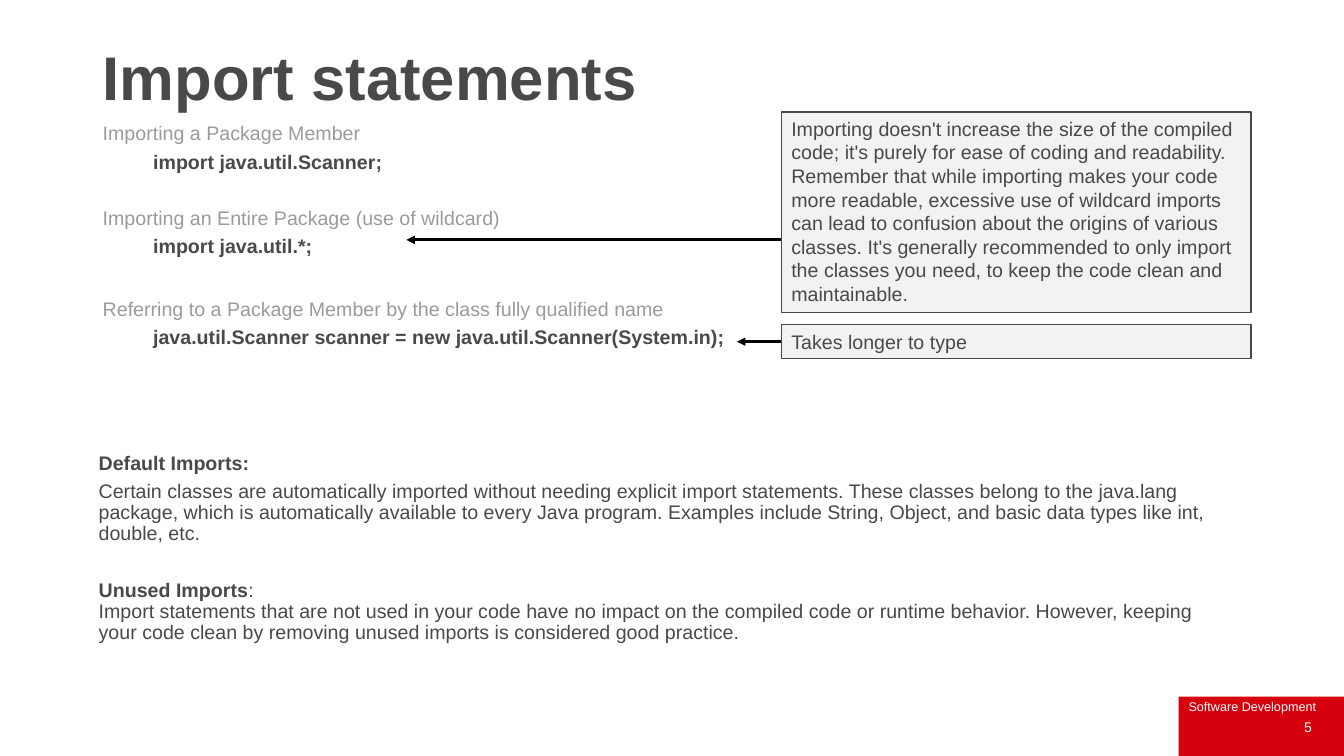
from dataclasses import dataclass

from pptx import Presentation, util as u
from pptx.dml.color import RGBColor
from pptx.enum import shapes, text
from pptx.oxml.ns import qn
from lxml import etree


@dataclass(frozen=True)
class Theme:
    font: str = "Arial"
    ink: str = "494949"
    muted: str = "9B9B9B"
    panel: str = "F2F2F2"
    accent: str = "D6000D"
    white: str = "FFFFFF"
    black: str = "000000"
    title_size: int = 44
    body_size: int = 14
    number_size: int = 10
    footer_size: int = 9
    tight: float = 0.9


def write(paragraph, words, *, theme, size=None, color=None, bold=False, align=None,
          before=None, spacing=None, indent=0):
    """Fill a paragraph with one run and apply its format."""
    if indent:
        paragraph.level = 1
        paragraph._p.get_or_add_pPr().set("marL", str(u.Inches(indent)))
    paragraph.alignment = align
    if before is not None:
        paragraph.space_before = u.Pt(before)
    if spacing:
        paragraph.line_spacing = spacing
    run = paragraph.add_run()
    run.text = words
    run.font.name = theme.font
    run.font.size = u.Pt(size or theme.body_size)
    run.font.bold = bold
    run.font.color.rgb = RGBColor.from_string(color or theme.ink)


class SlideBuilder:
    def __init__(self, slide, theme):
        self.slide = slide
        self.theme = theme

    def fill_frame(self, frame, paragraphs, anchor, grow):
        frame.word_wrap = True
        frame.vertical_anchor = anchor
        frame.auto_size = (text.MSO_AUTO_SIZE.SHAPE_TO_FIT_TEXT if grow
                           else text.MSO_AUTO_SIZE.NONE)
        for index, (words, style) in enumerate(paragraphs):
            paragraph = frame.add_paragraph() if index else frame.paragraphs[0]
            write(paragraph, words, theme=self.theme, **style)

    def text_box(self, area, paragraphs, anchor=text.MSO_ANCHOR.TOP, grow=False):
        box = self.slide.shapes.add_textbox(*map(u.Inches, area))
        self.fill_frame(box.text_frame, paragraphs, anchor, grow)
        return box

    def rectangle(self, area, fill, outline=None, paragraphs=()):
        rect = self.slide.shapes.add_shape(
            shapes.MSO_SHAPE.RECTANGLE, *map(u.Inches, area))
        rect.shadow.inherit = False
        rect.fill.solid()
        rect.fill.fore_color.rgb = RGBColor.from_string(fill)
        if outline:
            rect.line.color.rgb = RGBColor.from_string(outline)
            rect.line.width = u.Pt(1)
        else:
            rect.line.fill.background()
        if paragraphs:
            self.fill_frame(rect.text_frame, paragraphs, text.MSO_ANCHOR.TOP, True)
        return rect

    def arrow(self, start_x, end_x, y, source=None):
        line = self.slide.shapes.add_connector(
            shapes.MSO_CONNECTOR.STRAIGHT, u.Inches(start_x), u.Inches(y),
            u.Inches(end_x), u.Inches(y))
        if source is not None:
            line.begin_connect(source, 1)
        line.line.color.rgb = RGBColor.from_string(self.theme.black)
        line.line.width = u.Pt(2)
        outline = line.line._get_or_add_ln()
        etree.SubElement(outline, qn("a:tailEnd"), type="triangle")
        etree.SubElement(line._element.spPr, qn("a:effectLst"))


def main():
    theme = Theme()
    deck = Presentation()
    deck.slide_width, deck.slide_height = u.Inches(13.33), u.Inches(7.5)
    page = SlideBuilder(deck.slides.add_slide(deck.slide_layouts[6]), theme)

    # Footer
    page.rectangle((11.69, 6.91, 1.64, 0.59), theme.accent)
    page.text_box((10.6, 7.01, 2.51, 0.4),
                  [("5", dict(size=theme.number_size, color=theme.white,
                              align=text.PP_ALIGN.RIGHT))],
                  anchor=text.MSO_ANCHOR.MIDDLE)
    page.text_box((11.69, 6.88, 1.53, 0.25),
                  [("Software Development",
                    dict(size=theme.footer_size, color=theme.white))], grow=True)

    # Title
    page.text_box((0.92, 0.42, 9.19, 0.69),
                  [("Import statements", dict(size=theme.title_size, bold=True,
                                              spacing=theme.tight))])

    # Import forms: heading, its code and the space above the heading
    import_forms = [
        ("Importing a Package Member", "import java.util.Scanner;", None),
        ("Importing an Entire Package (use of wildcard)", "import java.util.*;", 25),
        ("Referring to a Package Member by the class fully qualified name",
         "java.util.Scanner scanner = new java.util.Scanner(System.in);", 30),
    ]
    form_paragraphs = []
    for heading, code, gap in import_forms:
        form_paragraphs += [
            (heading, dict(color=theme.muted, before=gap, spacing=theme.tight)),
            (code, dict(bold=True, before=5, spacing=theme.tight, indent=0.5)),
        ]
    page.text_box((0.92, 1.18, 11.81, 2.61), form_paragraphs)

    # Remarks with arrows to the code
    remark_left, remark_width = 7.75, 4.66
    typing_remark = page.rectangle(
        (remark_left, 3.22, remark_width, 0.34), theme.panel, theme.ink,
        [("Takes longer to type", dict(align=text.PP_ALIGN.LEFT))])
    page.rectangle(
        (remark_left, 1.11, remark_width, 1.99), theme.panel, theme.ink,
        [(words, dict(align=text.PP_ALIGN.LEFT)) for words in (
            "Importing doesn't increase the size of the compiled code; it's purely "
            "for ease of coding and readability.",
            "Remember that while importing makes your code more readable, excessive "
            "use of wildcard imports can lead to confusion about the origins of "
            "various classes. It's generally recommended to only import the classes "
            "you need, to keep the code clean and maintainable.")])
    page.arrow(remark_left, 4.03, 2.38)
    page.arrow(remark_left, 7.31, 3.39, source=typing_remark)

    # Default and unused imports
    page.text_box((0.88, 4.45, 11.31, 2.33), [
        ("Default Imports:", dict(bold=True, spacing=theme.tight)),
        ("Certain classes are automatically imported without needing explicit import "
         "statements. These classes belong to the java.lang package, which is "
         "automatically available to every Java program. Examples include String, "
         "Object, and basic data types like int, double, etc.",
         dict(before=5, spacing=theme.tight)),
        ("Unused Imports", dict(bold=True, before=25, spacing=theme.tight)),
        ("Import statements that are not used in your code have no impact on the "
         "compiled code or runtime behavior. However, keeping your code clean by "
         "removing unused imports is considered good practice.",
         dict(before=0, spacing=theme.tight)),
    ])
    notes = page.slide.shapes[-1].text_frame
    write(notes.paragraphs[2], ":", theme=theme)

    deck.save("out.pptx")


if __name__ == "__main__":
    main()
